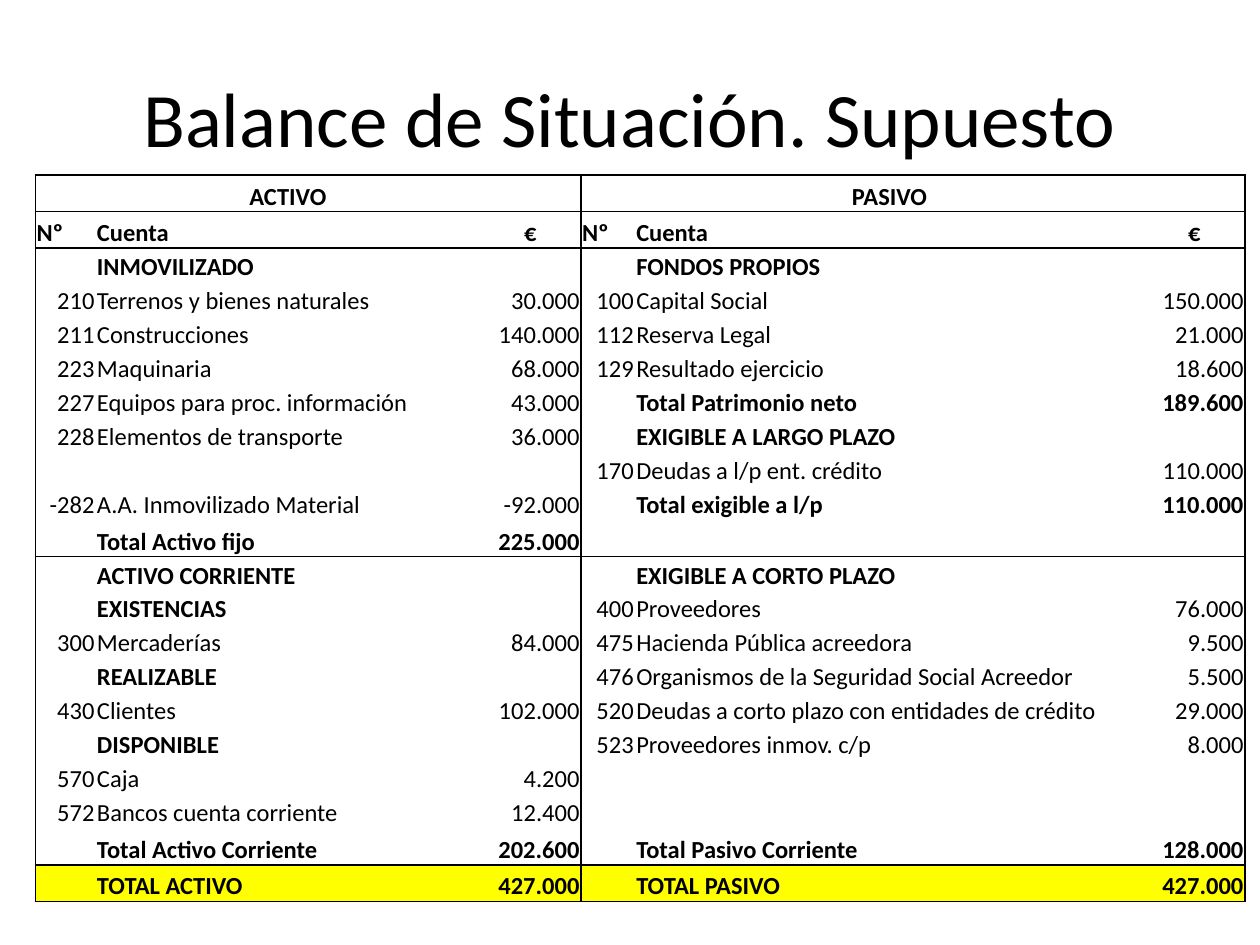
import dataclasses

import lxml.etree
import pptx
import pptx.dml.color
import pptx.enum.text
import pptx.oxml.ns
import pptx.util

Inches = pptx.util.Inches
Pt = pptx.util.Pt
RGBColor = pptx.dml.color.RGBColor
Align = pptx.enum.text.PP_ALIGN
Anchor = pptx.enum.text.MSO_ANCHOR
qn = pptx.oxml.ns.qn


@dataclasses.dataclass(frozen=True)
class Theme:
    font: str = "Calibri"
    ink: str = "000000"
    highlight: str = "FFFF00"
    title_size: int = 44
    table_size: int = 14
    border_width: int = 1


BLANK = ("", "", "")
HEADINGS = ("Nº", "Cuenta", "€")

ASSETS = [
    ("", "ACTIVO", ""),
    HEADINGS,
    ("", "INMOVILIZADO", ""),
    ("210", "Terrenos y bienes naturales", "30.000"),
    ("211", "Construcciones", "140.000"),
    ("223", "Maquinaria", "68.000"),
    ("227", "Equipos para proc. información", "43.000"),
    ("228", "Elementos de transporte", "36.000"),
    BLANK,
    ("-282", "A.A. Inmovilizado Material", "-92.000"),
    ("", "Total Activo fijo", "225.000"),
    ("", "ACTIVO CORRIENTE", ""),
    ("", "EXISTENCIAS", ""),
    ("300", "Mercaderías", "84.000"),
    ("", "REALIZABLE", ""),
    ("430", "Clientes", "102.000"),
    ("", "DISPONIBLE", ""),
    ("570", "Caja", "4.200"),
    ("572", "Bancos cuenta corriente", "12.400"),
    ("", "Total Activo Corriente", "202.600"),
    ("", "TOTAL ACTIVO", "427.000"),
]

LIABILITIES = [
    ("", "PASIVO", ""),
    HEADINGS,
    ("", "FONDOS PROPIOS", ""),
    ("100", "Capital Social", "150.000"),
    ("112", "Reserva Legal", "21.000"),
    ("129", "Resultado ejercicio", "18.600"),
    ("", "Total Patrimonio neto", "189.600"),
    ("", "EXIGIBLE A LARGO PLAZO", ""),
    ("170", "Deudas a l/p ent. crédito", "110.000"),
    ("", "Total exigible a l/p", "110.000"),
    BLANK,
    ("", "EXIGIBLE A CORTO PLAZO", ""),
    ("400", "Proveedores", "76.000"),
    ("475", "Hacienda Pública acreedora", "9.500"),
    ("476", "Organismos de la Seguridad Social Acreedor", "5.500"),
    ("520", "Deudas a corto plazo con entidades de crédito", "29.000"),
    ("523", "Proveedores inmov. c/p", "8.000"),
    BLANK,
    BLANK,
    ("", "Total Pasivo Corriente", "128.000"),
    ("", "TOTAL PASIVO", "427.000"),
]

COLUMN_WIDTHS = (0.48, 3.05, 0.8, 0.43, 4.04, 0.8)
TOTAL_ROW = len(ASSETS) - 1
RULED_ROWS = {0, 1, 10, TOTAL_ROW - 1, TOTAL_ROW}  # rows with a line below
ROW_HEIGHTS = [0.29 if row in RULED_ROWS else 0.27 for row in range(len(ASSETS))]


class SlideBuilder:
    def __init__(self, slide, theme):
        self.slide = slide
        self.theme = theme

    def format_paragraph(self, paragraph, size, align, bold=False):
        paragraph.alignment = align
        for run in paragraph.runs:
            run.font.name = self.theme.font
            run.font.size = Pt(size)
            run.font.bold = bold
            run.font.color.rgb = RGBColor.from_string(self.theme.ink)
        if not paragraph.runs:  # keeps an empty cell from stretching its row
            lxml.etree.SubElement(paragraph._p, qn("a:endParaRPr"), sz=str(size * 100))

    def title(self, text, left, top, width, height):
        shape = self.slide.shapes.add_textbox(
            Inches(left), Inches(top), Inches(width), Inches(height))
        frame = shape.text_frame
        frame.word_wrap = True
        frame.vertical_anchor = Anchor.MIDDLE
        frame.text = text
        self.format_paragraph(frame.paragraphs[0], self.theme.title_size, Align.CENTER)

    def borders(self, cell, visible_sides):
        properties = cell._tc.get_or_add_tcPr()
        for side in "LRTB":
            line = lxml.etree.SubElement(
                properties, qn("a:ln" + side), w=str(Pt(self.theme.border_width)))
            if side in visible_sides:
                fill = lxml.etree.SubElement(line, qn("a:solidFill"))
                lxml.etree.SubElement(fill, qn("a:srgbClr"), val=self.theme.ink)
            else:
                lxml.etree.SubElement(line, qn("a:noFill"))

    def cell(self, cell, text, align, bold, visible_sides, highlighted):
        cell.margin_left = cell.margin_right = cell.margin_top = Inches(0.01)
        cell.margin_bottom = 0
        cell.vertical_anchor = Anchor.BOTTOM
        cell.text_frame.text = text
        self.format_paragraph(
            cell.text_frame.paragraphs[0], self.theme.table_size, align, bold)
        self.borders(cell, visible_sides)
        if highlighted:
            cell.fill.solid()
            cell.fill.fore_color.rgb = RGBColor.from_string(self.theme.highlight)
        else:
            cell.fill.background()

    def balance_sheet(self, left, top):
        table = self.slide.shapes.add_table(
            len(ROW_HEIGHTS), len(COLUMN_WIDTHS), Inches(left), Inches(top),
            Inches(sum(COLUMN_WIDTHS)), Inches(sum(ROW_HEIGHTS))).table
        table.first_row = table.horz_banding = False
        for column, width in zip(table.columns, COLUMN_WIDTHS):
            column.width = Inches(width)
        for row, height in zip(table.rows, ROW_HEIGHTS):
            row.height = Inches(height)

        for row, entries in enumerate(zip(ASSETS, LIABILITIES)):
            horizontal = "T" if row == 0 or row - 1 in RULED_ROWS else ""
            horizontal += "B" if row in RULED_ROWS else ""
            if row == 0:
                aligns = (Align.CENTER,) * 3
            elif row == 1:
                aligns = (Align.LEFT, Align.LEFT, Align.CENTER)
            else:
                aligns = (Align.RIGHT, Align.LEFT, Align.RIGHT)
            for side, entry in enumerate(entries):
                bold = entry[0] in ("", HEADINGS[0])
                for field, text in enumerate(entry):
                    self.cell(
                        table.cell(row, side * 3 + field), text, aligns[field], bold,
                        horizontal + ("L", "", "R")[field], row == TOTAL_ROW)


def main():
    presentation = pptx.Presentation()
    presentation.slide_width = Inches(10)
    presentation.slide_height = Inches(7.5)
    slide = presentation.slides.add_slide(presentation.slide_layouts[6])
    builder = SlideBuilder(slide, Theme())
    builder.title("Balance de Situación. Supuesto", 0.5, 0.3, 9, 1.25)
    builder.balance_sheet(0.28, 1.39)
    presentation.save("out.pptx")


if __name__ == "__main__":
    main()
